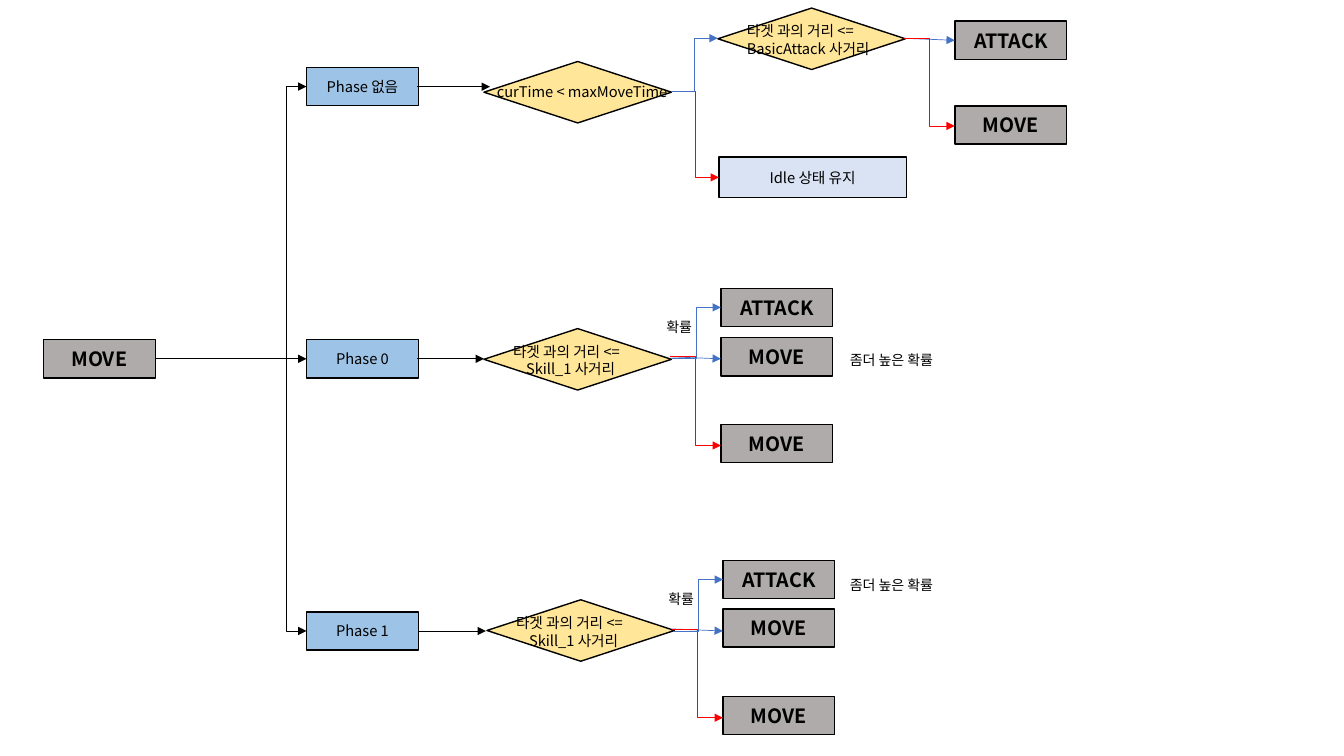
from lxml import etree
from pptx import Presentation, util as u
from pptx.dml.color import RGBColor
from pptx.enum import shapes as sh, text as tx
from pptx.oxml.ns import qn

FONT = "Noto Sans CJK KR"
BLACK, BLUE, RED = "000000", "4472C4", "FF0000"
GREY, SKY, PALE, GOLD = "AFABAB", "9DC3E6", "DAE3F3", "FFE699"
RECT, RHOMB = sh.MSO_SHAPE.RECTANGLE, sh.MSO_SHAPE.DIAMOND
LINE, BENT = sh.MSO_CONNECTOR.STRAIGHT, sh.MSO_CONNECTOR.ELBOW
color = RGBColor.from_string

deck = Presentation()
deck.slide_width, deck.slide_height = u.Inches(13.33), u.Inches(7.5)
slide = deck.slides.add_slide(deck.slide_layouts[6])


def put(home, kind, spot, rows, fill=None, size=10.5, bold=False, inset=0):
    area = [u.Inches(n) for n in spot]
    if kind is None:
        item = home.add_textbox(*area)
        item.text_frame.word_wrap = False
        item.text_frame.auto_size = tx.MSO_AUTO_SIZE.SHAPE_TO_FIT_TEXT
    else:
        item = home.add_shape(kind, *area)
        item.shadow.inherit = False
        item.fill.solid()
        item.fill.fore_color.rgb = color(fill)
        item.line.color.rgb = color(BLACK)
        item.line.width = u.Pt(1)
        item.text_frame.vertical_anchor = tx.MSO_ANCHOR.MIDDLE
    frame = item.text_frame
    for i, row in enumerate(rows):
        para = frame.add_paragraph() if i else frame.paragraphs[0]
        para.alignment = tx.PP_ALIGN.CENTER if kind else tx.PP_ALIGN.LEFT
        if i and inset:
            para._p.get_or_add_pPr().set("marL", str(u.Inches(inset)))
        run = para.add_run()
        run.text = row
        run.font.size, run.font.bold, run.font.name = u.Pt(size), bold, FONT
        run.font.color.rgb = color(BLACK)
        east = etree.SubElement(run._r.get_or_add_rPr(), qn("a:ea"))
        east.set("typeface", FONT)


def link(kind, x1, y1, x2, y2, tint=BLACK):
    wire = slide.shapes.add_connector(kind, *[u.Inches(n) for n in (x1, y1, x2, y2)])
    wire.line.color.rgb = color(tint)
    wire.line.width = u.Pt(0.5)
    etree.SubElement(wire.line._get_or_add_ln(), qn("a:tailEnd")).set("type", "triangle")
    etree.SubElement(wire._element.spPr, qn("a:effectLst"))


root = slide.shapes
dist = "타겟 과의 거리 <= "
skill = [dist, "Skill_1 사거리"]

for x, y, name in [
    (0.43, 3.37, "MOVE"),
    (9.47, 0.21, "ATTACK"), (9.47, 1.05, "MOVE"),
    (7.15, 2.86, "ATTACK"), (7.15, 3.35, "MOVE"), (7.15, 4.21, "MOVE"),
    (7.17, 5.56, "ATTACK"), (7.17, 6.04, "MOVE"), (7.17, 6.91, "MOVE"),
]:
    put(root, RECT, (x, y, 1.11, 0.38), [name], GREY, 14, True)

for i, name in enumerate(["Phase 없음", "Phase 0", "Phase 1"]):
    put(root, RECT, (3.04, 0.67 + 2.7 * i, 1.11, 0.38), [name], SKY)
put(root, RECT, (7.13, 1.56, 1.86, 0.4), ["Idle 상태 유지"], PALE)

for x, y, left, top, wide, rows, inset in [
    (4.8, 0.61, 4.83, 0.77, 1.92, ["curTime < maxMoveTime"], 0),
    (7.12, 0.08, 7.31, 0.17, 1.5, [dist, "BasicAttack 사거리"], 0),
    (4.8, 3.26, 4.99, 3.35, 1.5, skill, 0.13),
    (4.83, 5.95, 5.02, 6.04, 1.5, skill, 0.13),
]:
    test = root.add_group_shape().shapes
    put(test, RHOMB, (x, y, 1.86, 0.61), [], GOLD)
    put(test, None, (left, top, wide, 0.45), rows, inset=inset)

link(BENT, 2.64, 3.56, 3.04, 0.86)
link(LINE, 1.54, 3.56, 3.04, 3.56)
link(BENT, 2.64, 3.56, 3.04, 6.26)

link(LINE, 4.14, 0.86, 4.86, 0.86)
link(BENT, 6.66, 0.91, 7.13, 1.76, RED)
link(BENT, 6.66, 0.91, 7.12, 0.38, BLUE)
link(LINE, 8.97, 0.38, 9.47, 0.4, BLUE)
link(BENT, 8.97, 0.38, 9.47, 1.25, RED)

for dx, dy in [(0, 0), (0.02, 2.7)]:
    link(LINE, 4.14 + dx, 3.56 + dy, 4.8 + dx, 3.56 + dy)
    link(LINE, 6.65 + dx, 3.54 + dy, 7.15 + dx, 3.56 + dy, BLUE)
    link(BENT, 6.65 + dx, 3.54 + dy, 7.15 + dx, 4.42 + dy, RED)
    link(BENT, 6.66 + dx, 3.56 + dy, 7.15 + dx, 3.05 + dy, BLUE)
    put(root, None, (6.51 + dx, 3.11 + dy, 0.48, 0.27), ["확률"], size=10)

for y in (3.44, 5.67):
    put(root, None, (8.33, y, 1.14, 0.27), ["좀더 높은 확률"], size=10)

deck.save("out.pptx")
